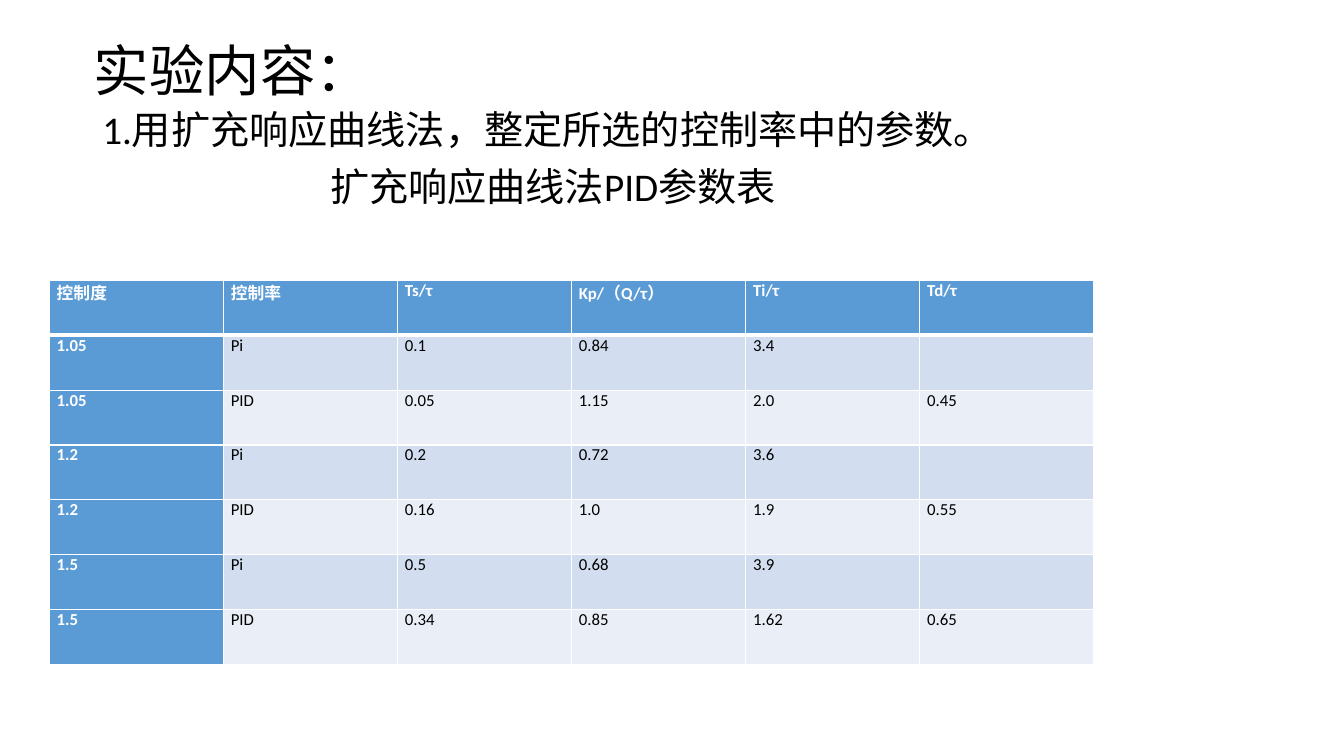
import pptx
import pptx.dml.color
import pptx.enum.text
import pptx.oxml.ns
import pptx.util
from lxml import etree

PX = 9525
FONT = "Calibri"
BLACK = pptx.dml.color.RGBColor(0x00, 0x00, 0x00)
WHITE = pptx.dml.color.RGBColor(0xFF, 0xFF, 0xFF)
BLUE = pptx.dml.color.RGBColor(0x5B, 0x9B, 0xD5)
BANDS = (
    pptx.dml.color.RGBColor(0xD2, 0xDE, 0xEF),
    pptx.dml.color.RGBColor(0xEA, 0xEF, 0xF7),
)

ROWS = (
    ("控制度", "控制率", "Ts/τ", "Kp/（Q/τ）", "Ti/τ", "Td/τ"),
    ("1.05", "Pi", "0.1", "0.84", "3.4", ""),
    ("1.05", "PID", "0.05", "1.15", "2.0", "0.45"),
    ("1.2", "Pi", "0.2", "0.72", "3.6", ""),
    ("1.2", "PID", "0.16", "1.0", "1.9", "0.55"),
    ("1.5", "Pi", "0.5", "0.68", "3.9", ""),
    ("1.5", "PID", "0.34", "0.85", "1.62", "0.65"),
)


def set_font(para, size, color=BLACK, bold=False):
    font = para.font
    font.name = FONT
    font.size = pptx.util.Pt(size)
    font.bold = bold
    font.color.rgb = color


def add_text(slide, box, lines, size, anchor):
    """Add a text box; each line is a pair of text and left indent in px."""
    frame = slide.shapes.add_textbox(*(n * PX for n in box)).text_frame
    frame.word_wrap = True
    frame.vertical_anchor = anchor
    for i, (text, indent) in enumerate(lines):
        para = frame.add_paragraph() if i else frame.paragraphs[0]
        para.text = text
        para.line_spacing = 0.9
        if i:
            para.space_before = pptx.util.Pt(10)
        if indent:
            para._p.get_or_add_pPr().set("marL", str(indent * PX))
        set_font(para, size)


def add_edge(cell, side, width):
    """Draw a white border on one side, with its width in points."""
    qn = pptx.oxml.ns.qn
    props = cell._tc.get_or_add_tcPr()
    line = etree.SubElement(props, qn(f"a:ln{side}"), w=str(pptx.util.Pt(width)))
    fill = etree.SubElement(line, qn("a:solidFill"))
    etree.SubElement(fill, qn("a:srgbClr"), val=str(WHITE))


def fill_cell(cell, text, row, col):
    head = row == 0 or col == 0
    cell.margin_left = cell.margin_right = 7 * PX
    cell.margin_top = cell.margin_bottom = 0
    for side in "LRTB":
        thick = (row == 0 and side == "B") or (row == 1 and side == "T")
        add_edge(cell, side, 3 if thick else 1)
    cell.fill.solid()
    cell.fill.fore_color.rgb = BLUE if head else BANDS[(row - 1) % 2]
    cell.text = text
    set_font(cell.text_frame.paragraphs[0], 12, WHITE if head else BLACK, head)


def add_grid(slide, box, rows):
    size = len(rows), len(rows[0])
    table = slide.shapes.add_table(*size, *(n * PX for n in box)).table
    table.first_col = True
    for r, row in enumerate(rows):
        for c, text in enumerate(row):
            fill_cell(table.cell(r, c), text, r, c)


def main():
    deck = pptx.Presentation()
    deck.slide_width = 1280 * PX
    deck.slide_height = 720 * PX
    slide = deck.slides.add_slide(deck.slide_layouts[6])
    anchor = pptx.enum.text.MSO_ANCHOR
    add_text(slide, (80, 53, 1104, 34), [("实验内容：", 0)], 39.6, anchor.MIDDLE)
    body = [
        ("1.用扩充响应曲线法，整定所选的控制率中的参数。", 0),
        ("扩充响应曲线法PID参数表", 217),
    ]
    add_text(slide, (88, 101, 1104, 547), body, 28, anchor.TOP)
    add_grid(slide, (47, 267, 995, 366), ROWS)
    deck.save("out.pptx")


if __name__ == "__main__":
    main()
